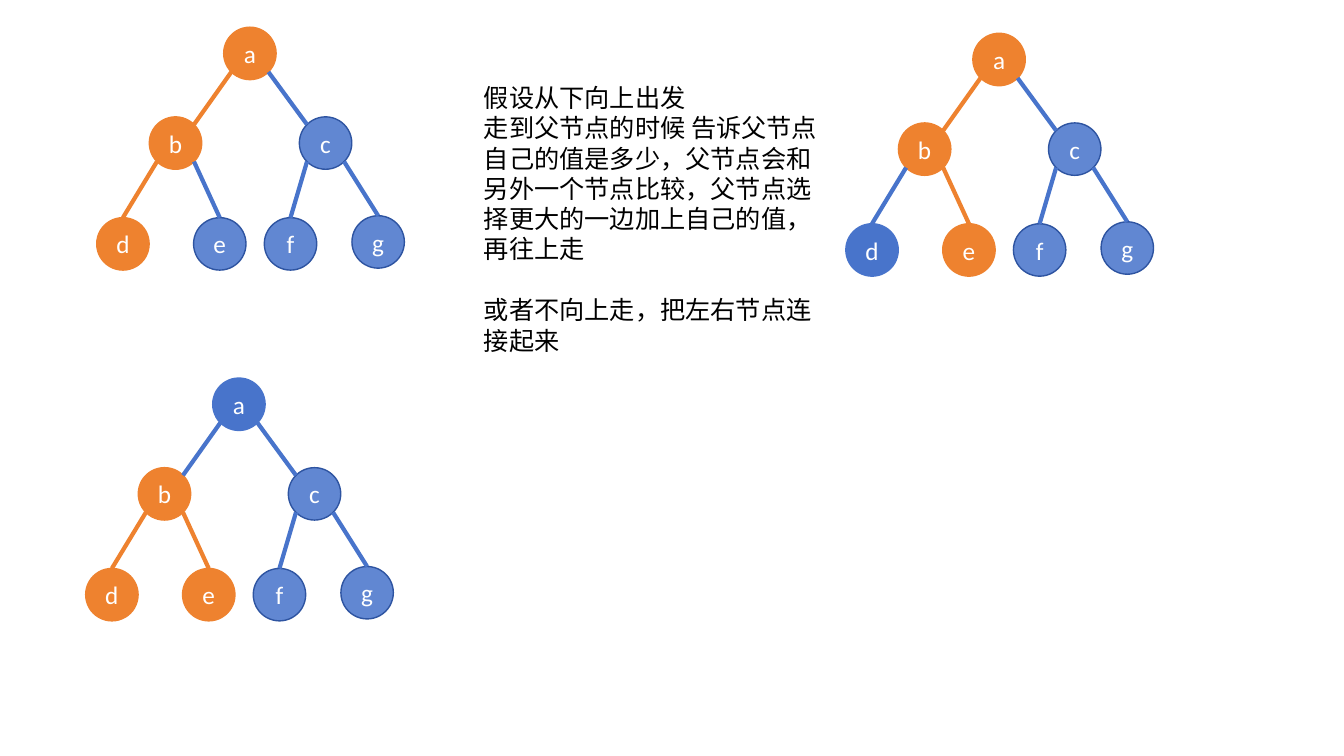
import math

import pptx
import pptx.dml.color
import pptx.enum.shapes
import pptx.enum.text
import pptx.oxml.ns
import pptx.util
from lxml import etree

ORANGE, BLUE, NAVY = "EE822F", "4874CB", "2E54A1"
WHITE, BLACK = "FFFFFF", "000000"
FONT = "Calibri"
NODE = pptx.util.Inches(0.52)
TREE_W, TREE_H = 22.88, 32.13  # percent of the slide

# Node centres, in percent of the tree's box
NODES = {
    "a": (49.8, 10.8),
    "b": (25.6, 47.7), "c": (74.4, 47.7),
    "d": (8.5, 89.2), "e": (40, 89.2),
    "f": (63, 89.2), "g": (91.5, 88.4),
}
EDGES = ["ab", "ac", "bd", "be", "cf", "cg"]

# Left, top in percent of the slide; orange nodes; opaque blue nodes
TREES = [
    (7.2, 3.6, "abd", ""),
    (62.94, 4.4, "abe", "d"),
    (6.38, 50, "bde", "a"),
]
NOTES = [
    "假设从下向上出发",
    "走到父节点的时候 告诉父节点 自己的值是多少，父节点会和另外一个节点比较，父节点选择更大的一边加上自己的值，再往上走",
    "或者不向上走，把左右节点连接起来",
]


def rgb(code):
    return pptx.dml.color.RGBColor.from_string(code)


def add_sub(parent, tag, **attrs):
    return etree.SubElement(parent, pptx.oxml.ns.qn(tag), **attrs)


def style(para, color):
    para.font.name = FONT
    para.font.size = pptx.util.Pt(18)
    para.font.color.rgb = rgb(color)


def add_node(slide, name, x, y, fill, line, alpha=100):
    """Draw a named circle centred on x, y."""
    node = slide.shapes.add_shape(
        pptx.enum.shapes.MSO_SHAPE.OVAL,
        round(x - NODE / 2), round(y - NODE / 2), NODE, NODE)
    node.shadow.inherit = False
    node.fill.solid()
    node.fill.fore_color.rgb = rgb(fill)
    if alpha < 100:
        tint = node.fill._xPr.find(".//" + pptx.oxml.ns.qn("a:srgbClr"))
        add_sub(tint, "a:alpha", val=str(alpha * 1000))
    node.line.color.rgb = rgb(line)
    node.line.width = pptx.util.Pt(1)
    frame = node.text_frame
    frame.vertical_anchor = pptx.enum.text.MSO_ANCHOR.MIDDLE
    para = frame.paragraphs[0]
    para.text = name
    para.alignment = pptx.enum.text.PP_ALIGN.CENTER
    style(para, WHITE)


def add_edge(slide, start, end, color):
    edge = slide.shapes.add_connector(
        pptx.enum.shapes.MSO_CONNECTOR.STRAIGHT,
        *(round(v) for v in (*start, *end)))
    edge.line.color.rgb = rgb(color)
    edge.line.width = pptx.util.Pt(3)
    add_sub(edge._element.spPr, "a:effectLst")


def add_tree(slide, box, hot, solid):
    """Draw a tree; an edge is orange when both of its nodes are."""
    left, top, width, height = box
    spots = {name: (left + width * x / 100, top + height * y / 100)
             for name, (x, y) in NODES.items()}
    for name, (x, y) in spots.items():
        if name in hot:
            add_node(slide, name, x, y, ORANGE, ORANGE)
        elif name in solid:
            add_node(slide, name, x, y, BLUE, BLUE)
        else:
            add_node(slide, name, x, y, BLUE, NAVY, 86)

    radius = NODE / 2
    slant = radius * math.sqrt(0.5)
    for upper, lower in EDGES:
        (x1, y1), (x2, y2) = spots[upper], spots[lower]
        side = math.copysign(slant, x2 - x1)
        start = x1 + side, y1 + slant
        if upper == "a":
            end = x2 - side, y2 - slant
        else:
            end = x2, y2 - radius
        color = ORANGE if upper in hot and lower in hot else BLUE
        add_edge(slide, start, end, color)


def add_notes(slide, box):
    frame = slide.shapes.add_textbox(*box).text_frame
    frame.word_wrap = True
    frame.auto_size = pptx.enum.text.MSO_AUTO_SIZE.SHAPE_TO_FIT_TEXT
    for i, text in enumerate(NOTES):
        para = frame.add_paragraph() if i else frame.paragraphs[0]
        para.text = text
        style(para, BLACK)
    para.space_before = pptx.util.Pt(22)


def main():
    deck = pptx.Presentation()
    deck.slide_width = pptx.util.Inches(13.33)
    deck.slide_height = pptx.util.Inches(7.5)
    slide = deck.slides.add_slide(deck.slide_layouts[6])

    def area(x, y, w, h):
        """Turn percent of the slide into lengths."""
        wide, high = deck.slide_width / 100, deck.slide_height / 100
        return round(x * wide), round(y * high), round(w * wide), round(h * high)

    for x, y, hot, solid in TREES:
        add_tree(slide, area(x, y, TREE_W, TREE_H), hot, solid)
    add_notes(slide, area(35.26, 10.27, 27.31, 37.73))
    deck.save("out.pptx")


if __name__ == "__main__":
    main()
